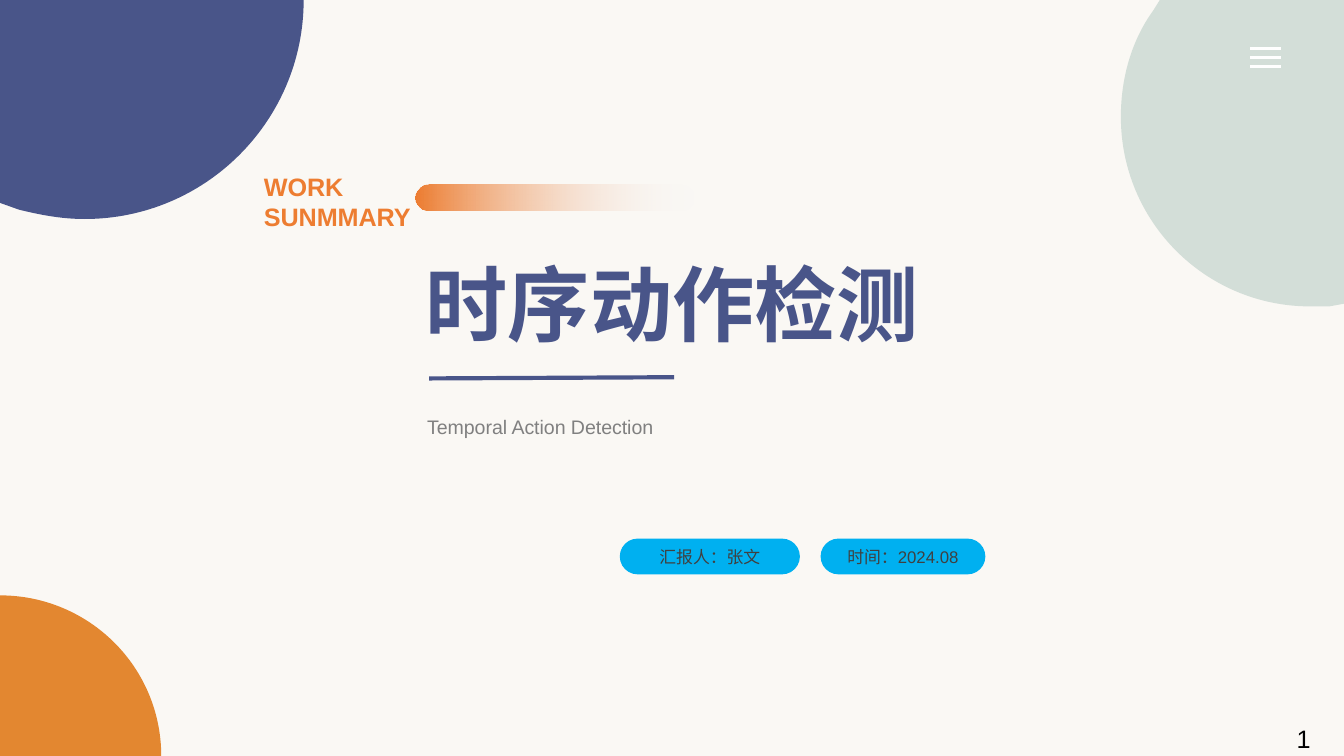
from lxml.etree import SubElement
from pptx import Presentation
from pptx.dml.color import RGBColor
from pptx.enum.shapes import MSO_CONNECTOR, MSO_SHAPE
from pptx.enum.text import MSO_ANCHOR, MSO_AUTO_SIZE, PP_ALIGN
from pptx.oxml.ns import qn
from pptx.util import Inches, Pt

# The page is a grid of square cells: 100 columns by 56.25 rows
COLUMNS, ROWS = 100, 56.25
CELL = Inches(10) / COLUMNS

COLORS = {
    "paper": "FAF8F4", "navy": "495589", "amber": "E38730", "sage": "D3DED8",
    "white": "FFFFFF", "orange": "ED7D31", "mist": "F5F6FA", "sky": "00B0F0",
    "gray": "808080", "charcoal": "404040", "black": "000000",
}

TITLE = {"size": Pt(44), "bold": True, "color": "navy"}
SUBTITLE = {"size": Pt(10.5), "color": "gray"}
KICKER = {"size": Pt(13.5), "bold": True, "color": "orange"}
LABEL = {"size": Pt(9), "color": "charcoal"}
NUMBER = {"size": Pt(13.5), "color": "black"}

# Discs cut by the page edge: each step is a line (one point)
# or a curve (two control points and an end point)
NAVY_DISC = [
    [(0, 0)], [(22.6, 0)],
    [(22.6, 9), (15.3, 16.3), (6.3, 16.3)],
    [(4.6, 16.3), (3, 16), (1.4, 15.6)],
    [(0, 15.1)],
]
AMBER_DISC = [
    [(0, 44.3)],
    [(6.6, 44.3), (12, 49.6), (12, ROWS)],
    [(0, ROWS)],
]
SAGE_DISC = [
    [(86.3, 0)], [(COLUMNS, 0)], [(COLUMNS, 22.6)], [(98.9, 22.8)],
    [(98.5, 22.8), (98, 22.8), (97.5, 22.8)],
    [(89.7, 22.8), (83.4, 16.5), (83.4, 8.7)],
    [(83.4, 5.8), (84.2, 3), (85.8, 0.8)],
]


def cells(*counts):
    return [round(count * CELL) for count in counts]


def color(name):
    return RGBColor.from_string(COLORS[name])


def paint(shape, name):
    shape.fill.solid()
    shape.fill.fore_color.rgb = color(name)
    shape.line.fill.background()
    shape.shadow.inherit = False


def write(frame, lines, style, **paragraph_format):
    for index, line in enumerate(lines):
        para = frame.paragraphs[0] if index == 0 else frame.add_paragraph()
        for name, value in paragraph_format.items():
            setattr(para, name, value)
        span = para.add_run()
        span.text = line
        span.font.name = "Arial"
        for name, value in style.items():
            if name == "color":
                span.font.color.rgb = color(value)
            else:
                setattr(span.font, name, value)


def add_text(page, place, lines, style, wrap=True, **paragraph_format):
    frame = page.shapes.add_textbox(*cells(*place)).text_frame
    frame.word_wrap = wrap
    frame.auto_size = MSO_AUTO_SIZE.SHAPE_TO_FIT_TEXT
    write(frame, lines, style, **paragraph_format)


def add_disc(page, steps, name):
    """Build the outline from straight steps, then bend the curved ones."""
    points = [cells(*point) for step in steps for point in step]
    builder = page.shapes.build_freeform(*points[0])
    builder.add_line_segments(points[1:], close=True)
    disc = builder.convert_to_shape()
    segments = iter(disc._element.findall(".//" + qn("a:lnTo")))
    for step in steps[1:]:
        first, *others = [next(segments) for _ in step]
        if others:
            first.tag = qn("a:cubicBezTo")
        for segment in others:
            first.append(segment[0])
            segment.getparent().remove(segment)
    paint(disc, name)


def add_line(page, start, end, name, width):
    line = page.shapes.add_connector(
        MSO_CONNECTOR.STRAIGHT, *cells(*start, *end))
    line.line.color.rgb = color(name)
    line.line.width = Pt(width)
    SubElement(line._element.spPr, qn("a:effectLst"))


def add_pill(page, place, name):
    pill = page.shapes.add_shape(MSO_SHAPE.ROUNDED_RECTANGLE, *cells(*place))
    pill.adjustments[0] = 0.5
    paint(pill, name)
    return pill


def add_label(page, place, text):
    frame = add_pill(page, place, "sky").text_frame
    frame.word_wrap = True
    frame.vertical_anchor = MSO_ANCHOR.MIDDLE
    write(frame, [text], LABEL, alignment=PP_ALIGN.CENTER)


def add_fading_bar(page, place):
    bar = add_pill(page, place, "orange")
    bar.fill.gradient()
    bar.fill.gradient_angle = 180
    for stop, name, position in zip(
            bar.fill.gradient_stops, ("mist", "orange"), (0, 1)):
        stop.color.rgb = color(name)
        stop.position = position
    clear_end = bar._element.spPr.find(".//" + qn("a:srgbClr"))
    SubElement(clear_end, qn("a:alpha"), val="0")


def main():
    deck = Presentation()
    deck.slide_width, deck.slide_height = cells(COLUMNS, ROWS)
    page = deck.slides.add_slide(deck.slide_layouts[6])
    page.background.fill.solid()
    page.background.fill.fore_color.rgb = color("paper")

    # Corner discs
    add_disc(page, NAVY_DISC, "navy")
    add_disc(page, AMBER_DISC, "amber")
    add_disc(page, SAGE_DISC, "sage")

    # Menu icon
    for index in range(3):
        row = 3.6 + 0.68 * index
        add_line(page, (93, row), (95.3, row), "white", 1.5)

    # Title, subtitle and the rule between them
    add_text(page, (30.7, 18.35, 38.7, 8.4), ["时序动作检测"], TITLE, wrap=False)
    add_text(page, (30.8, 29.5, 30.8, 3.6), ["Temporal Action Detection"],
             SUBTITLE, line_spacing=1.5)
    add_line(page, (31.94, 28.16), (50.15, 28.07), "navy", 2.25)

    # Presenter and date
    add_label(page, (46.12, 40.08, 13.4, 2.66), "汇报人：张文")
    add_label(page, (61.06, 40.08, 12.26, 2.66), "时间：2024.08")

    # Page number
    add_text(page, (95.5, 53.3, 4.1, 3.3), ["1"], NUMBER)

    # Kicker with its fading bar
    add_text(page, (18.65, 12.25, 16.2, 5.5), ["WORK", "SUNMMARY"], KICKER)
    add_fading_bar(page, (30.9, 13.7, 20.8, 2))

    deck.save("out.pptx")


if __name__ == "__main__":
    main()
